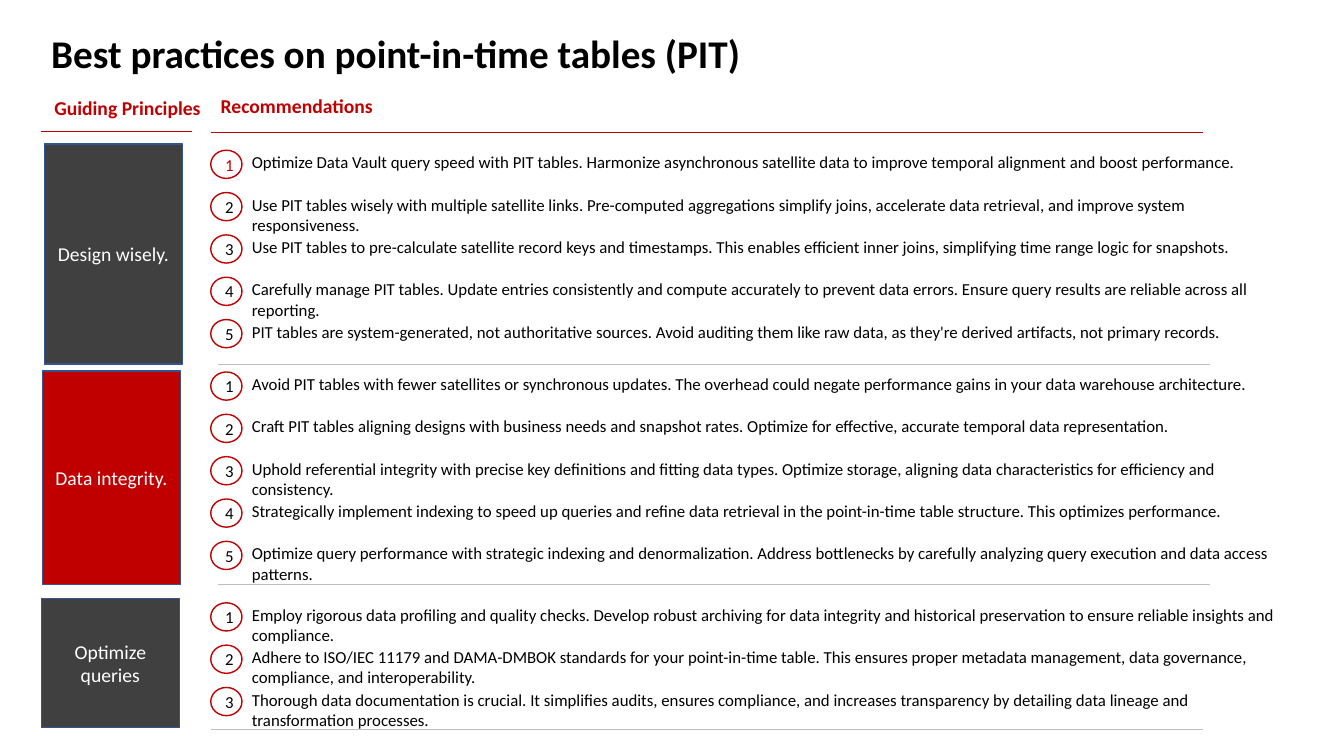
from pptx import Presentation
from pptx.dml.color import RGBColor
from pptx.enum.shapes import MSO_CONNECTOR, MSO_SHAPE
from pptx.enum.text import MSO_ANCHOR, MSO_AUTO_SIZE, PP_ALIGN
from pptx.oxml.ns import qn
from pptx.util import Inches, Pt
from lxml import etree

LINE = MSO_CONNECTOR.STRAIGHT
RECT, OVAL = MSO_SHAPE.RECTANGLE, MSO_SHAPE.OVAL
MIDDLE, CENTER = MSO_ANCHOR.MIDDLE, PP_ALIGN.CENTER
GROW = MSO_AUTO_SIZE.SHAPE_TO_FIT_TEXT

WIDE, HIGH = 13.33, 7.5
FONT = "Calibri"
RED, DARK, BLACK, WHITE = "C00000", "404040", "000000", "FFFFFF"
BLUE, GREY = "325491", "BFBFBF"
LIST_X, RULE_W, PITCH = 2.09, 9.84, 0.42
DOT_W, DOT_H, DOT_DROP = 0.31, 0.28, 0.03
ITEM_W, ITEM_H = 10.5, 0.3

SECTIONS = [
    ("Design wisely.", DARK, (0.44, 1.43, 1.37, 2.18), 1.46, (2.16, 3.61), RED, [
        "Optimize Data Vault query speed with PIT tables. Harmonize asynchronous satellite data to improve temporal alignment and boost performance.",
        "Use PIT tables wisely with multiple satellite links. Pre-computed aggregations simplify joins, accelerate data retrieval, and improve system responsiveness.",
        "Use PIT tables to pre-calculate satellite record keys and timestamps. This enables efficient inner joins, simplifying time range logic for snapshots.",
        "Carefully manage PIT tables. Update entries consistently and compute accurately to prevent data errors. Ensure query results are reliable across all reporting.",
        "PIT tables are system-generated, not authoritative sources. Avoid auditing them like raw data, as they're derived artifacts, not primary records.",
    ]),
    ("Data integrity.", RED, (0.42, 3.68, 1.37, 2.12), 3.66, (2.16, 5.8), BLACK, [
        "Avoid PIT tables with fewer satellites or synchronous updates. The overhead could negate performance gains in your data warehouse architecture.",
        "Craft PIT tables aligning designs with business needs and snapshot rates. Optimize for effective, accurate temporal data representation.",
        "Uphold referential integrity with precise key definitions and fitting data types. Optimize storage, aligning data characteristics for efficiency and consistency.",
        "Strategically implement indexing to speed up queries and refine data retrieval in the point-in-time table structure. This optimizes performance.",
        "Optimize query performance with strategic indexing and denormalization. Address bottlenecks by carefully analyzing query execution and data access patterns.",
    ]),
    ("Optimize queries", DARK, (0.41, 5.94, 1.37, 1.28), 5.95, (2.09, 7.24), BLACK, [
        "Employ rigorous data profiling and quality checks. Develop robust archiving for data integrity and historical preservation to ensure reliable insights and compliance.",
        "Adhere to ISO/IEC 11179 and DAMA-DMBOK standards for your point-in-time table. This ensures proper metadata management, data governance, compliance, and interoperability.",
        "Thorough data documentation is crucial. It simplifies audits, ensures compliance, and increases transparency by detailing data lineage and transformation processes.",
    ]),
]


def paint(target, color):
    """Give a font, line or fill format a solid hex colour."""
    target.color.rgb = RGBColor.from_string(color)


def write(frame, text, size, color, bold=False):
    """Put one styled paragraph in a text frame."""
    frame.word_wrap = True
    para = frame.paragraphs[0]
    para.text = text
    para.font.name = FONT
    para.font.size = Pt(size)
    para.font.bold = bold
    paint(para.font, color)
    return para


def label(slide, box, text, size, color, bold=False):
    """Add a text box that grows with its text."""
    frame = slide.shapes.add_textbox(*map(Inches, box)).text_frame
    write(frame, text, size, color, bold)
    frame.auto_size = GROW


def block(slide, kind, box, fill, edge, text, size, color):
    """Add a filled shape with centred text."""
    shape = slide.shapes.add_shape(kind, *map(Inches, box))
    shape.shadow.inherit = False
    shape.fill.solid()
    shape.fill.fore_color.rgb = RGBColor.from_string(fill)
    paint(shape.line, edge)
    shape.line.width = Pt(1)
    shape.text_frame.vertical_anchor = MIDDLE
    write(shape.text_frame, text, size, color).alignment = CENTER


def rule(slide, left, top, width, color):
    """Add a thin level line."""
    line = slide.shapes.add_connector(
        LINE, *map(Inches, (left, top, left + width, top)))
    paint(line.line, color)
    line.line.width = Pt(0.5)
    etree.SubElement(line._element.spPr, qn("a:effectLst"))


def header(slide, box):
    """Add the title and the two column heads in the given box."""
    left, top, width, high = box
    label(slide, (left, top, width, 0.57),
          "Best practices on point-in-time tables (PIT)", 28, BLACK, True)
    label(slide, (left + 0.03, top + 0.66, 1.66, 0.34),
          "Guiding Principles", 14, RED, True)
    label(slide, (LIST_X, top + 0.64, 9.96, 0.34),
          "Recommendations", 14, RED, True)
    rule(slide, left, top + high - 0.01, 1.49, RED)
    rule(slide, LIST_X, top + high, RULE_W, RED)


def section(slide, name, fill, box, first, end, lead, items):
    """Add one principle with its numbered items and closing rule."""
    block(slide, RECT, box, fill, BLUE, name, 14, WHITE)
    for i, item in enumerate(items):
        top = first + i * PITCH
        dot = (LIST_X, top + DOT_DROP, DOT_W, DOT_H)
        color = BLACK if i else lead
        block(slide, OVAL, dot, WHITE, RED, str(i + 1), 12, color)
        label(slide, (LIST_X + DOT_W, top, ITEM_W, ITEM_H), item, 12, BLACK)
    rule(slide, *end, RULE_W, GREY)


def main():
    """Build and save the slide."""
    deck = Presentation()
    deck.slide_width, deck.slide_height = Inches(WIDE), Inches(HIGH)
    slide = deck.slides.add_slide(deck.slide_layouts[6])
    header(slide, (0.41, 0.24, 12.35, 1.07))
    for part in SECTIONS:
        section(slide, *part)
    deck.save("out.pptx")


if __name__ == "__main__":
    main()
